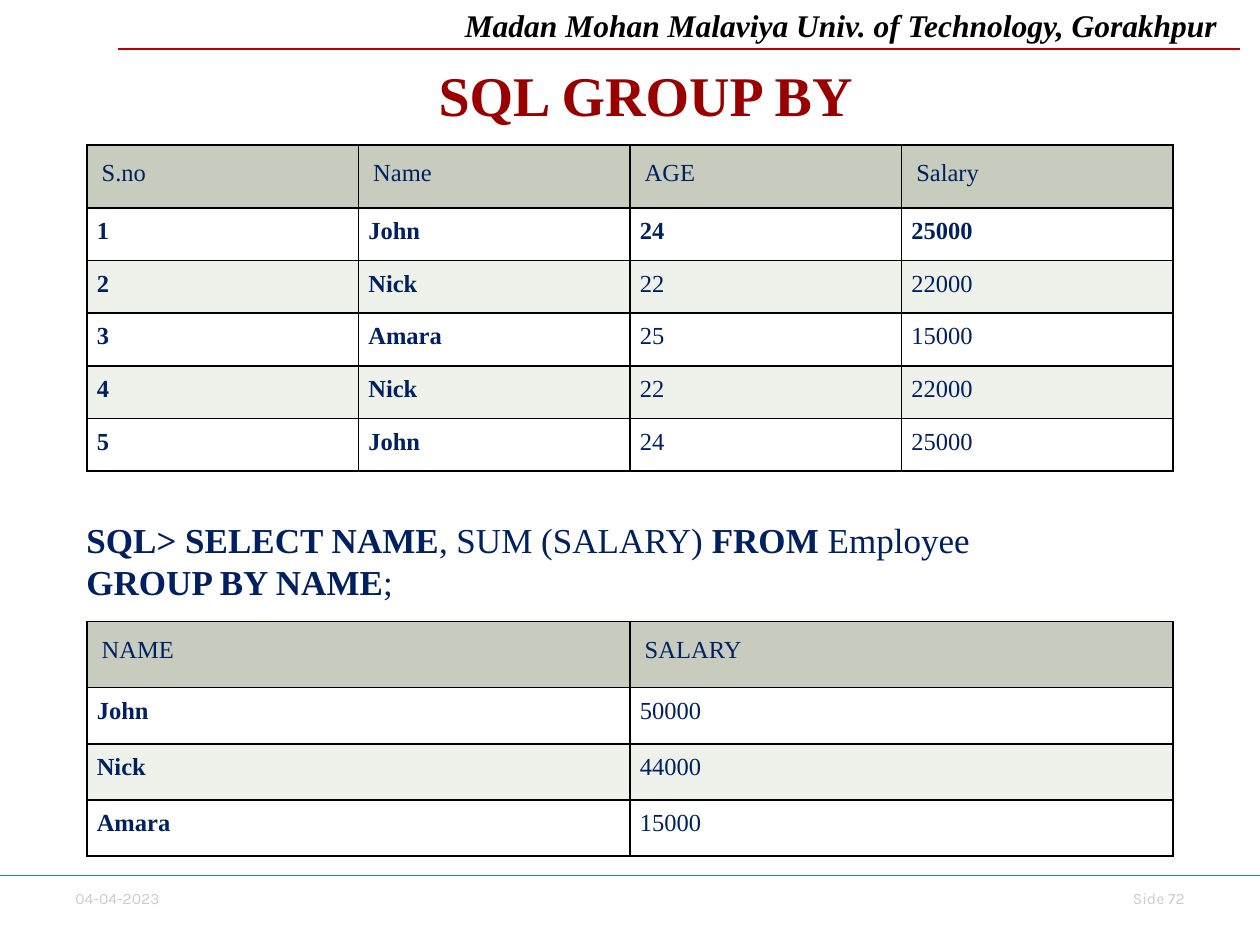
from lxml.etree import SubElement
from pptx import Presentation
from pptx.dml.color import RGBColor
from pptx.enum.shapes import MSO_CONNECTOR
from pptx.enum.text import MSO_ANCHOR, PP_ALIGN
from pptx.oxml.ns import qn
from pptx.util import Pt

# Content
UNIVERSITY = "Madan Mohan Malaviya Univ. of Technology, Gorakhpur"
TITLE = " SQL GROUP BY"
DATE, PAGE = "04-04-2023", "Side 72"
QUERY = [  # lines of (text, bold)
    [("SQL> SELECT NAME", True), (", SUM (SALARY) ", False),
     ("FROM", True), (" Employee", False)],
    [("GROUP BY NAME", True), (";", False)],
]
EMPLOYEES = [
    ("S.no", "Name", "AGE", "Salary"),
    ("1", "John", "24", "25000"),
    ("2", "Nick", "22", "22000"),
    ("3", "Amara", "25", "15000"),
    ("4", "Nick", "22", "22000"),
    ("5", "John", "24", "25000"),
]
TOTALS = [
    ("NAME", "SALARY"),
    ("John", "50000"),
    ("Nick", "44000"),
    ("Amara", "15000"),
]


class Theme:
    serif, footer_font = "Times New Roman", "Karla"
    black, navy, title = "000000", "002060", "990000"
    red_line, green_line, footer = "C00000", "00B050", "CCCCCC"
    header_fill, bands = "C7CCBE", ("FFFFFF", "EFF1EB")
    title_size, query_size, banner_size, cell_size, footer_size = 32, 20, 18, 14, 9


TABLE_LEFT, TABLE_WIDTH = 49.6, 620.7


def add_run(paragraph, text, size, color, bold=False, italic=False, font=Theme.serif):
    run = paragraph.add_run()
    run.text = text
    run.font.name, run.font.size = font, Pt(size)
    run.font.bold, run.font.italic = bold, italic
    run.font.color.rgb = RGBColor.from_string(color)


def add_text_frame(slide, left, top, width, height, anchor=MSO_ANCHOR.TOP):
    box = slide.shapes.add_textbox(Pt(left), Pt(top), Pt(width), Pt(height))
    box.text_frame.word_wrap = True
    box.text_frame.vertical_anchor = anchor
    return box.text_frame


def add_rule(slide, left, right, y, color):
    rule = slide.shapes.add_connector(
        MSO_CONNECTOR.STRAIGHT, Pt(left), Pt(y), Pt(right), Pt(y))
    rule.line.color.rgb = RGBColor.from_string(color)
    rule.line.width = Pt(0.75)
    SubElement(rule._element.spPr, qn("a:effectLst"))


def add_borders(cell):
    properties = cell._tc.get_or_add_tcPr()
    for index, side in enumerate(("a:lnL", "a:lnR", "a:lnT", "a:lnB")):
        line = properties.makeelement(qn(side), {"w": str(Pt(1))})
        fill = SubElement(line, qn("a:solidFill"))
        SubElement(fill, qn("a:srgbClr"), val=Theme.black)
        properties.insert(index, line)


def add_grid(slide, rows, top, header_height, row_height, is_bold):
    height = header_height + row_height * (len(rows) - 1)
    table = slide.shapes.add_table(
        len(rows), len(rows[0]), Pt(TABLE_LEFT), Pt(top), Pt(TABLE_WIDTH), Pt(height)).table
    for column in table.columns:
        column.width = Pt(TABLE_WIDTH / len(rows[0]))
    for r, values in enumerate(rows):
        header = r == 0
        table.rows[r].height = Pt(header_height if header else row_height)
        color = Theme.header_fill if header else Theme.bands[(r - 1) % 2]
        inset = Pt(8.5 if header else 5.7)
        for c, value in enumerate(values):
            cell = table.cell(r, c)
            cell.fill.solid()
            cell.fill.fore_color.rgb = RGBColor.from_string(color)
            cell.margin_left = cell.margin_right = inset
            cell.margin_top = cell.margin_bottom = inset
            add_borders(cell)
            add_run(cell.text_frame.paragraphs[0], value, Theme.cell_size,
                    Theme.navy, bold=not header and is_bold(r, c))


def main():
    presentation = Presentation()
    presentation.slide_width, presentation.slide_height = Pt(720), Pt(540)
    slide = presentation.slides.add_slide(presentation.slide_layouts[6])

    # Footer
    for text, left, width, align in ((DATE, 36, 74, PP_ALIGN.LEFT),
                                     (PAGE, 624, 60, PP_ALIGN.RIGHT)):
        frame = add_text_frame(slide, left, 504, width, 18, MSO_ANCHOR.MIDDLE)
        frame.paragraphs[0].alignment = align
        add_run(frame.paragraphs[0], text, Theme.footer_size, Theme.footer,
                font=Theme.footer_font)

    # Banner and rules
    banner = add_text_frame(slide, 258.5, 0, 461.5, 29, MSO_ANCHOR.MIDDLE)
    add_run(banner.paragraphs[0], UNIVERSITY, Theme.banner_size, Theme.black,
            bold=True, italic=True)
    add_rule(slide, 67.5, 708.5, 28, Theme.red_line)
    add_rule(slide, 0, 720, 500.5, Theme.green_line)

    # Title
    title = add_text_frame(slide, 56, 27.4, 618, 61)
    title.margin_top = Pt(7)
    title.paragraphs[0].alignment = PP_ALIGN.CENTER
    add_run(title.paragraphs[0], TITLE, Theme.title_size, Theme.title, bold=True)

    # Query
    query = add_text_frame(slide, 42.3, 292.5, 622, 55.5)
    for index, parts in enumerate(QUERY):
        paragraph = query.add_paragraph() if index else query.paragraphs[0]
        paragraph.line_spacing = Pt(24)
        for text, bold in parts:
            add_run(paragraph, text, Theme.query_size, Theme.navy, bold)

    # Tables
    add_grid(slide, EMPLOYEES, 82.8, 36, 30.1, lambda r, c: r == 1 or c < 2)
    add_grid(slide, TOTALS, 355.2, 37.8, 32.1, lambda r, c: c == 0)

    presentation.save("out.pptx")


if __name__ == "__main__":
    main()
